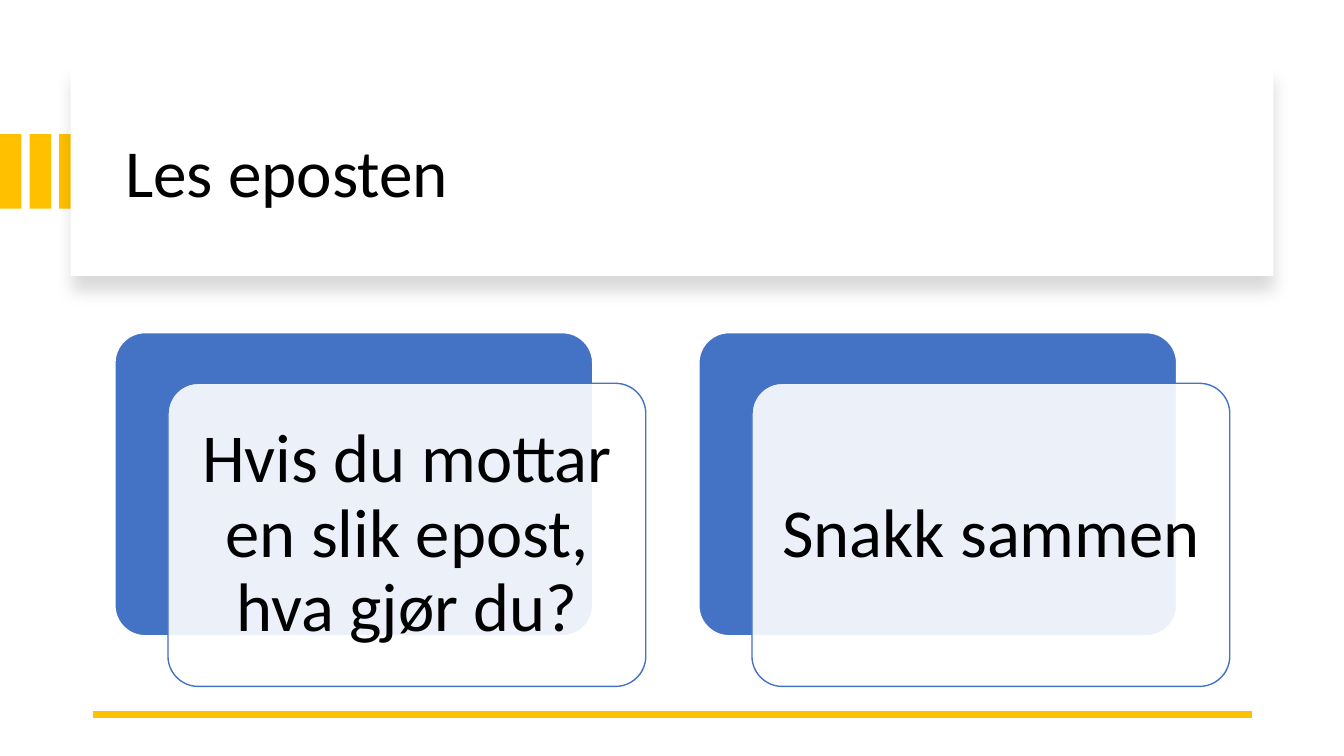
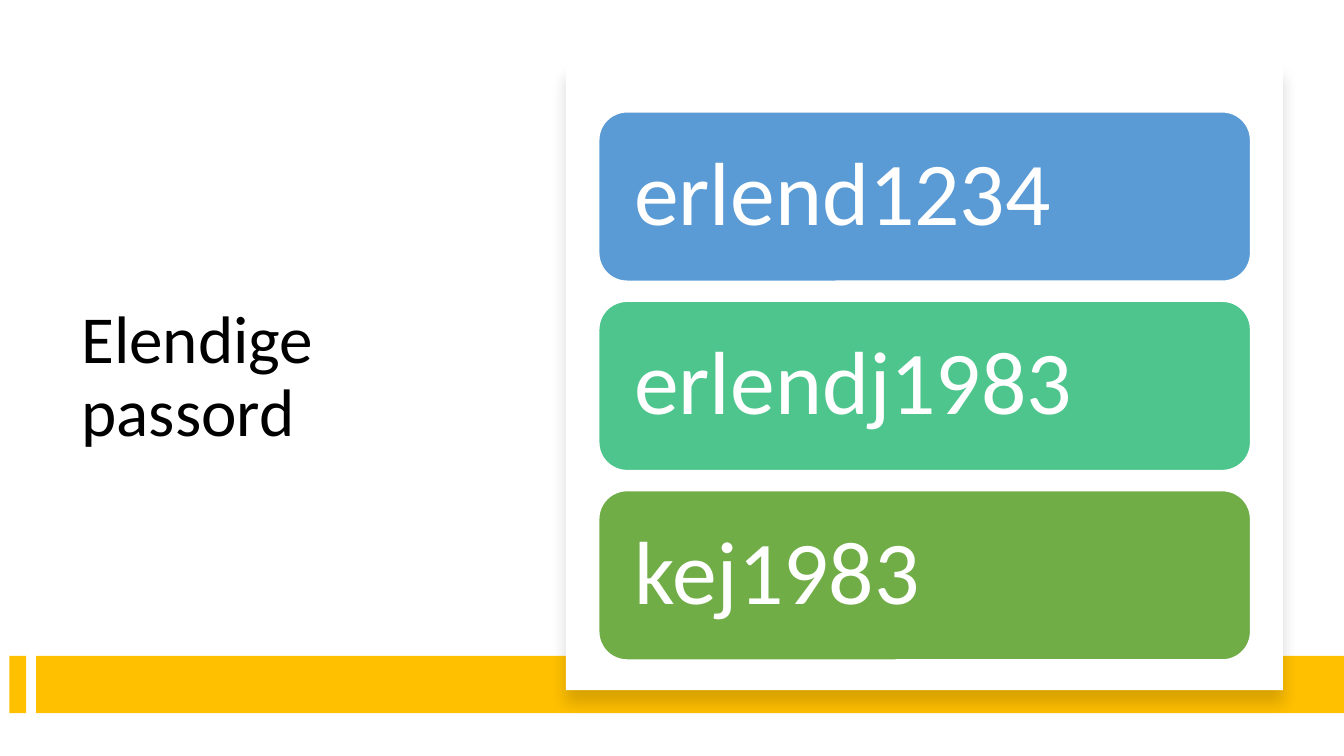
"""Build two slides about suspicious e-mails and weak passwords."""
from lxml.etree import SubElement
from pptx import Presentation
from pptx.dml.color import RGBColor
from pptx.enum.shapes import MSO_CONNECTOR, MSO_SHAPE
from pptx.enum.text import MSO_ANCHOR, MSO_AUTO_SIZE, PP_ALIGN
from pptx.oxml.ns import qn
from pptx.util import Inches, Pt

GOLD = RGBColor(0xFF, 0xC0, 0x00)
BLUE = RGBColor(0x44, 0x72, 0xC4)
SKY = RGBColor(0x5B, 0x9B, 0xD5)
MINT = RGBColor(0x4D, 0xC5, 0x8D)
GREEN = RGBColor(0x70, 0xAD, 0x47)
WHITE = RGBColor(0xFF, 0xFF, 0xFF)
BLACK = RGBColor(0x00, 0x00, 0x00)
FONT = "Calibri"

presentation = Presentation()
presentation.slide_width = Inches(13.33)
presentation.slide_height = Inches(7.5)
COLUMN = presentation.slide_width / 100
ROW = presentation.slide_height / 100


def add_box(slide, kind, frame, fill, line=None):
    """Add a flat shape whose frame counts columns and rows."""
    left, top, width, height = frame
    box = slide.shapes.add_shape(
        kind, int(left * COLUMN), int(top * ROW), int(width * COLUMN), int(height * ROW)
    )
    box.shadow.inherit = False
    box.fill.solid()
    box.fill.fore_color.rgb = fill
    if line is None:
        box.line.fill.background()
    else:
        box.line.color.rgb = line
        box.line.width = Pt(1)
    return box


def set_text(shape, text, size, colour, alignment=PP_ALIGN.LEFT, margin=0.1):
    """Write one vertically centred paragraph in a shape."""
    frame = shape.text_frame
    frame.text = text
    frame.word_wrap = True
    frame.auto_size = MSO_AUTO_SIZE.NONE
    frame.vertical_anchor = MSO_ANCHOR.MIDDLE
    frame.margin_left = frame.margin_right = Inches(margin)
    frame.margin_top = frame.margin_bottom = Inches(margin)
    paragraph = frame.paragraphs[0]
    paragraph.alignment = alignment
    paragraph.line_spacing = 0.9
    font = paragraph.runs[0].font
    font.name, font.size, font.color.rgb = FONT, Pt(size), colour


STRIPES = [(2.2 * index, 17.75, 1.6, 9.85) for index in range(3)]
BANDS = [(0.7, 86.75, 1.25, 7.6), (2.7, 86.75, 97.3, 7.6)]
LAYOUTS = [
    ("Les eposten", (8.55, 11.9, 83.5, 22.7), STRIPES, (5.25, 8.9, 89.5, 27.6)),
    ("Elendige passord", (5.3, 16, 31.1, 68), BANDS, (42.1, 8.5, 53.35, 82.8)),
]
slides = []
for heading, (left, top, width, height), accents, panel_frame in LAYOUTS:
    slide = presentation.slides.add_slide(presentation.slide_layouts[5])
    slides.append(slide)
    for accent in accents:
        add_box(slide, MSO_SHAPE.RECTANGLE, accent, GOLD)

    panel = add_box(slide, MSO_SHAPE.RECTANGLE, panel_frame, WHITE)
    effects = panel._element.spPr.find(qn("a:effectLst"))
    shadow = SubElement(
        effects, qn("a:outerShdw"), blurRad=str(Pt(11)), dist=str(Pt(10)),
        dir="5400000", algn="t", rotWithShape="0",
    )
    shadow_colour = SubElement(shadow, qn("a:srgbClr"), val=str(BLACK))
    SubElement(shadow_colour, qn("a:alpha"), val="15000")

    title = slide.shapes.title
    title.left, title.top = int(left * COLUMN), int(top * ROW)
    title.width, title.height = int(width * COLUMN), int(height * ROW)
    set_text(title, heading, 48, BLACK)
    slide.shapes._spTree.append(title._element)

email_slide, password_slide = slides

rule_y = int(94.5 * ROW)
rule = email_slide.shapes.add_connector(
    MSO_CONNECTOR.STRAIGHT, int(6.9 * COLUMN), rule_y, int(93.15 * COLUMN), rule_y
)
rule.line.color.rgb = GOLD
rule.line.width = Pt(4.5)
SubElement(rule._element.spPr, qn("a:effectLst"))

QUESTIONS = ["Hvis du mottar en slik epost, hva gjør du?", "Snakk sammen"]
CARD_WIDTH, CARD_HEIGHT = 35.55, 40.1
for index, question in enumerate(QUESTIONS):
    left, top = 8.55 + 43.45 * index, 44
    back = add_box(
        email_slide, MSO_SHAPE.ROUNDED_RECTANGLE,
        (left, top, CARD_WIDTH, CARD_HEIGHT), BLUE, WHITE,
    )
    card = add_box(
        email_slide, MSO_SHAPE.ROUNDED_RECTANGLE,
        (left + 3.95, top + 6.7, CARD_WIDTH, CARD_HEIGHT), WHITE, BLUE,
    )
    back.adjustments[0] = card.adjustments[0] = 0.1
    card_colour = card._element.spPr.find(qn("a:solidFill")).find(qn("a:srgbClr"))
    SubElement(card_colour, qn("a:alpha"), val="90000")
    set_text(card, question, 49, BLACK, PP_ALIGN.CENTER, 0.2)

PASSWORDS = [("erlend1234", SKY), ("erlendj1983", MINT), ("kej1983", GREEN)]
for index, (password, colour) in enumerate(PASSWORDS):
    bar = add_box(
        password_slide, MSO_SHAPE.ROUNDED_RECTANGLE,
        (44.55, 14.8 + 25.05 * index, 48.5, 22.4), colour, WHITE,
    )
    set_text(bar, password, 64, WHITE, margin=0.27)

presentation.save("out.pptx")
